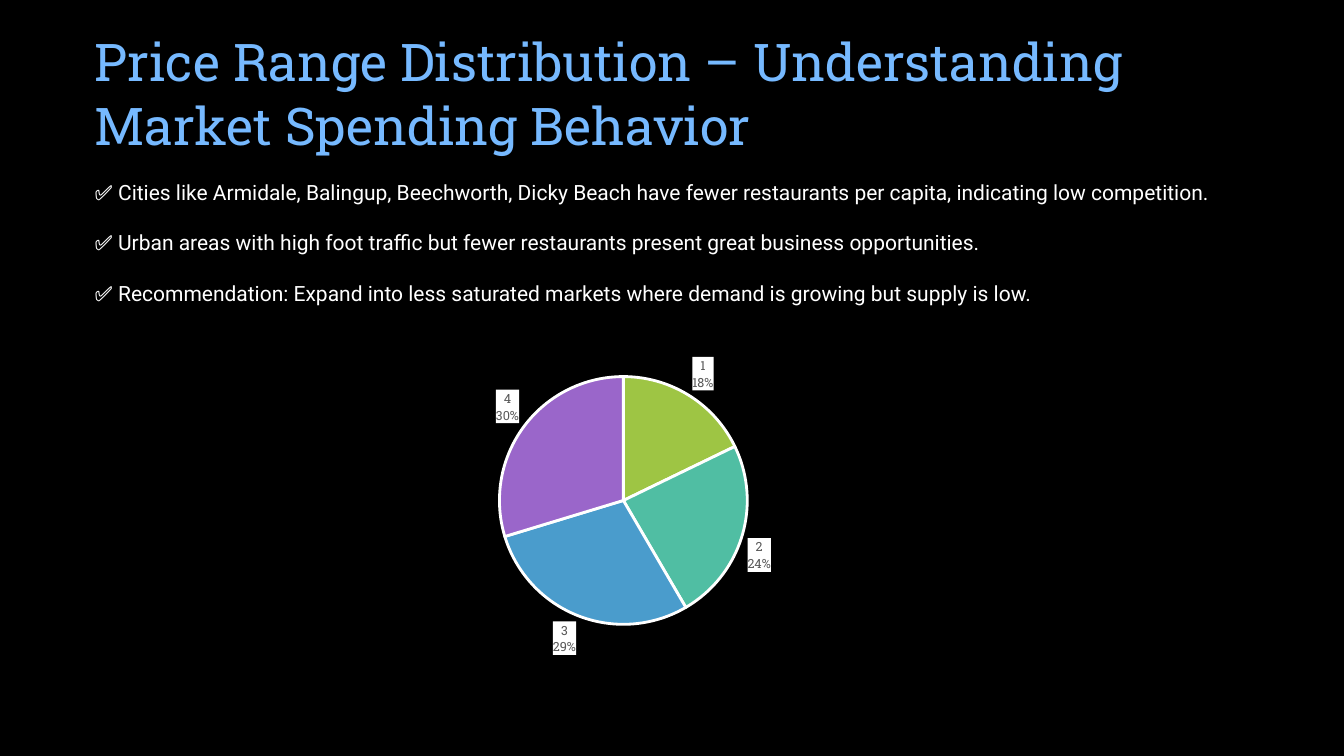
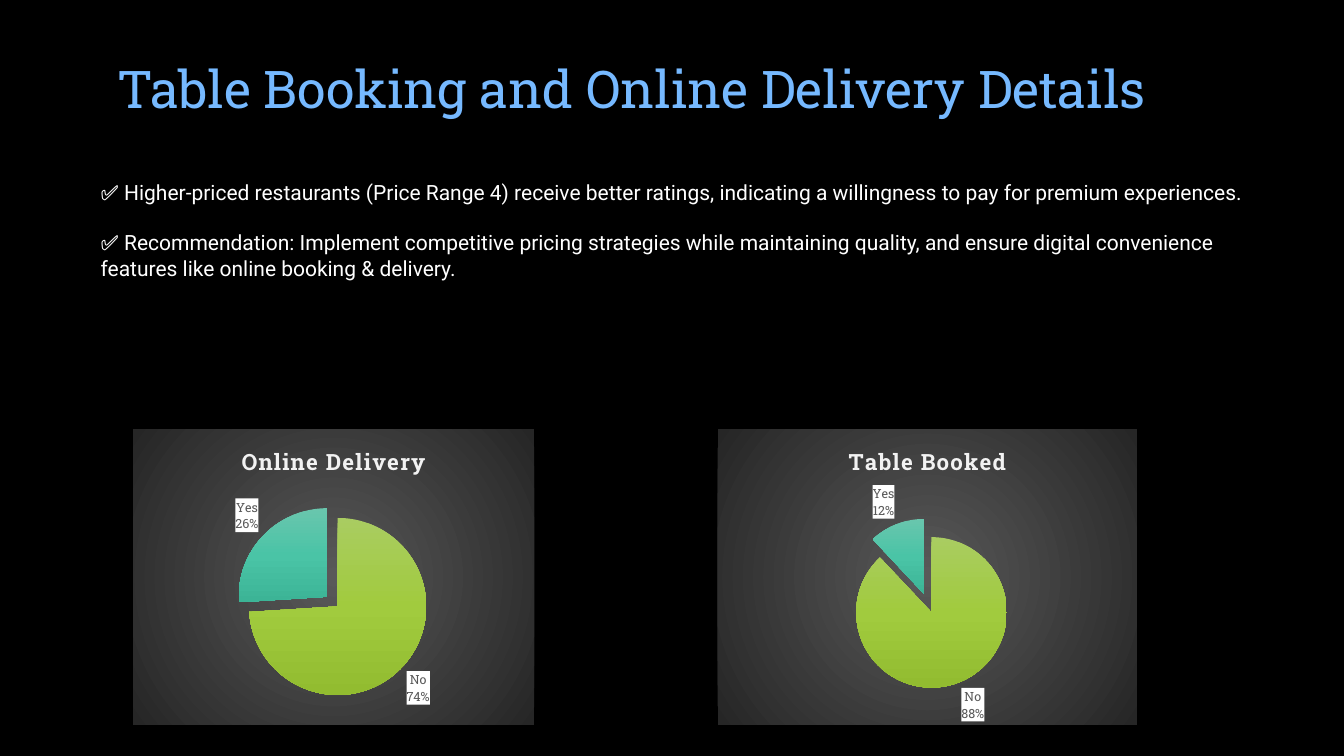
from pptx import Presentation
from pptx.chart.data import CategoryChartData
from pptx.dml.color import RGBColor as Color
from pptx.enum.chart import XL_CHART_TYPE as ChartType, XL_LABEL_POSITION as LabelPosition
from pptx.oxml import parse_xml
from pptx.oxml.ns import nsdecls, qn
from pptx.util import Inches, Pt

COLORS = {
    "background": "000000", "title": "76B9FF", "text": "FFFFFF", "label": "595959",
    "chart title": "F2F2F2", "lime": "9EC544", "teal": "50BEA3", "blue": "4A9CCC", "purple": "9A66CA",
}
LIME_FADE = ["A9CC61", "A1CB3E", "92BC30"]
TEAL_FADE = ["69C6AD", "4AC4A6", "3CB496"]
PANEL_FADE = ["595959", "262626"]
DOWNWARD = '<a:lin ang="5400000" scaled="0"/>'
FROM_CENTRE = '<a:path path="circle"><a:fillToRect l="50000" t="50000" r="50000" b="50000"/></a:path>'
SLAB, SANS = "Roboto Slab", "Roboto"

deck = Presentation()
deck.slide_width, deck.slide_height = Inches(13.33), Inches(7.5)


def place(left, top, width, height):
    """Turn percentages of the slide into lengths."""
    across, down = deck.slide_width / 100, deck.slide_height / 100
    return int(left * across), int(top * down), int(width * across), int(height * down)


def gradient(colors, direction):
    """Give the XML of a gradient with evenly spaced stops."""
    step = 100000 // (len(colors) - 1)
    stops = "".join(f'<a:gs pos="{step * i}"><a:srgbClr val="{color}"/></a:gs>'
                    for i, color in enumerate(colors))
    return f'<a:gradFill {nsdecls("a")} rotWithShape="1"><a:gsLst>{stops}</a:gsLst>{direction}</a:gradFill>'


# Content: pie centre and diameter are shares of the chart (diameter of its height)
price_pie = {
    "place": (6.3, 44.5, 81.8, 44.3), "title": None,
    "values": {"1": 18, "2": 24, "3": 29, "4": 30},
    "slices": [COLORS[name] for name in ("lime", "teal", "blue", "purple")],
    "centre": (0.49, 0.49), "diameter": 0.74, "explosion": 0,
}
delivery_pie = {
    "place": (9.9, 56.8, 29.85, 39.05), "title": "Online Delivery",
    "values": {"No": 74, "Yes": 26}, "slices": [LIME_FADE, TEAL_FADE],
    "centre": (0.51, 0.6), "diameter": 0.6, "explosion": 16,
}
booking_pie = {
    "place": (53.4, 56.8, 31.2, 39.05), "title": "Table Booked",
    "values": {"No": 88, "Yes": 12}, "slices": [LIME_FADE, TEAL_FADE],
    "centre": (0.51, 0.62), "diameter": 0.51, "explosion": 26,
}
pages = [
    ("Price Range Distribution – Understanding Market Spending Behavior", (6.3, 2.9, 82.6, 18.1),
     ["✅ Cities like Armidale, Balingup, Beechworth, Dicky Beach have fewer restaurants per capita, "
      "indicating low competition.",
      "✅ Urban areas with high foot traffic but fewer restaurants present great business opportunities.",
      "✅ Recommendation: Expand into less saturated markets where demand is growing but supply is low."],
     (6.3, 23.1, 89.8, 18.1), [price_pie]),
    ("Table Booking and Online Delivery Details", (8, 6.5, 80.4, 9.5),
     ["✅ Higher-priced restaurants (Price Range 4) receive better ratings, indicating a willingness "
      "to pay for premium experiences.",
      "✅ Recommendation: Implement competitive pricing strategies while maintaining quality, and ensure "
      "digital convenience features like online booking & delivery."],
     (6.75, 23.1, 86.5, 18.1), [delivery_pie, booking_pie]),
]

for title, title_place, points, body_place, pies in pages:
    page = deck.slides.add_slide(deck.slide_layouts[6])
    page.background.fill.solid()
    page.background.fill.fore_color.rgb = Color.from_string(COLORS["background"])

    # Title
    box = page.shapes.add_textbox(*place(*title_place))
    box.text_frame.word_wrap = True
    para = box.text_frame.paragraphs[0]
    para.text = title
    para.line_spacing = Pt(46.2)
    para.font.name, para.font.size = SLAB, Pt(37.1)
    para.font.color.rgb = Color.from_string(COLORS["title"])

    # Findings
    box = page.shapes.add_textbox(*place(*body_place))
    box.text_frame.word_wrap = True
    box.text_frame.text = "\n".join(points)
    for para in box.text_frame.paragraphs:
        para.space_after = Pt(18)
        para.font.name, para.font.size = SANS, Pt(15)
        para.font.color.rgb = Color.from_string(COLORS["text"])

    for pie in pies:
        # Chart and its data
        data = CategoryChartData()
        data.categories = list(pie["values"])
        data.add_series("Series 1", list(pie["values"].values()))
        frame = page.shapes.add_chart(ChartType.PIE, *place(*pie["place"]), data)
        chart = frame.chart
        chart.has_legend = False
        chart.font.name, chart.font.size = SLAB, Pt(10)
        chart.font.color.rgb = Color.from_string(COLORS["text"])

        # Chart title and panel
        chart.has_title = pie["title"] is not None
        panel = "<a:noFill/>"
        if chart.has_title:
            panel = gradient(PANEL_FADE, FROM_CENTRE)
            para = chart.chart_title.text_frame.paragraphs[0]
            span = para.add_run()
            span.text = pie["title"]
            span.font.name, span.font.size, span.font.bold = SLAB, Pt(16), True
            span.font.color.rgb = Color.from_string(COLORS["chart title"])
            span.font._element.set("spc", "100")
            chart.chart_title.include_in_layout = False
        chart._element.find(qn("c:chart")).addnext(parse_xml(
            f'<c:spPr {nsdecls("c", "a")}>{panel}<a:ln><a:noFill/></a:ln></c:spPr>'))

        # Square plot area around the pie's centre
        tall = pie["diameter"]
        wide = tall * frame.height / frame.width
        left, top = pie["centre"][0] - wide / 2, pie["centre"][1] - tall / 2
        sizes = "".join(f'<c:{name} val="{share:.4f}"/>'
                        for name, share in zip("xywh", (left, top, wide, tall)))
        plot_area = chart._element.find(".//" + qn("c:plotArea"))
        for layout in plot_area.findall(qn("c:layout")):
            plot_area.remove(layout)
        plot_area.insert(0, parse_xml(
            f'<c:layout {nsdecls("c")}><c:manualLayout><c:layoutTarget val="inner"/>'
            f'<c:xMode val="edge"/><c:yMode val="edge"/>{sizes}</c:manualLayout></c:layout>'))

        # Slices
        plot = chart.plots[0]
        plot.vary_by_categories = True
        series = plot.series[0]
        for index, color in enumerate(pie["slices"]):
            look = series.points[index].format
            if isinstance(color, str):
                look.fill.solid()
                look.fill.fore_color.rgb = Color.from_string(color)
                look.line.width = Pt(2)
                look.line.color.rgb = Color.from_string(COLORS["text"])
            else:
                look.fill.gradient()
                look.line.fill.background()
                fade = series._element.xpath("c:dPt/c:spPr/a:gradFill")[-1]
                fade.getparent().replace(fade, parse_xml(gradient(color, DOWNWARD)))
        if pie["explosion"]:
            last_slice = series._element.xpath("c:dPt/c:spPr")[-1]
            last_slice.addprevious(parse_xml(f'<c:explosion {nsdecls("c")} val="{pie["explosion"]}"/>'))

        # Labels on white boxes
        labels = series.data_labels
        labels.show_value, labels.show_category_name, labels.show_percentage = False, True, True
        labels.number_format, labels.number_format_is_linked = "0%", False
        labels.position = LabelPosition.OUTSIDE_END
        labels.font.name, labels.font.size = SLAB, Pt(9)
        labels.font.color.rgb = Color.from_string(COLORS["label"])
        labels._element.find(qn("c:txPr")).addprevious(parse_xml(
            f'<c:spPr {nsdecls("c", "a")}><a:solidFill><a:srgbClr val="{COLORS["text"]}"/></a:solidFill>'
            '<a:ln><a:noFill/></a:ln></c:spPr>'))
        labels._element.find(qn("c:showBubbleSize")).addnext(
            parse_xml(f'<c:separator {nsdecls("c")}>\n</c:separator>'))

deck.save("out.pptx")
